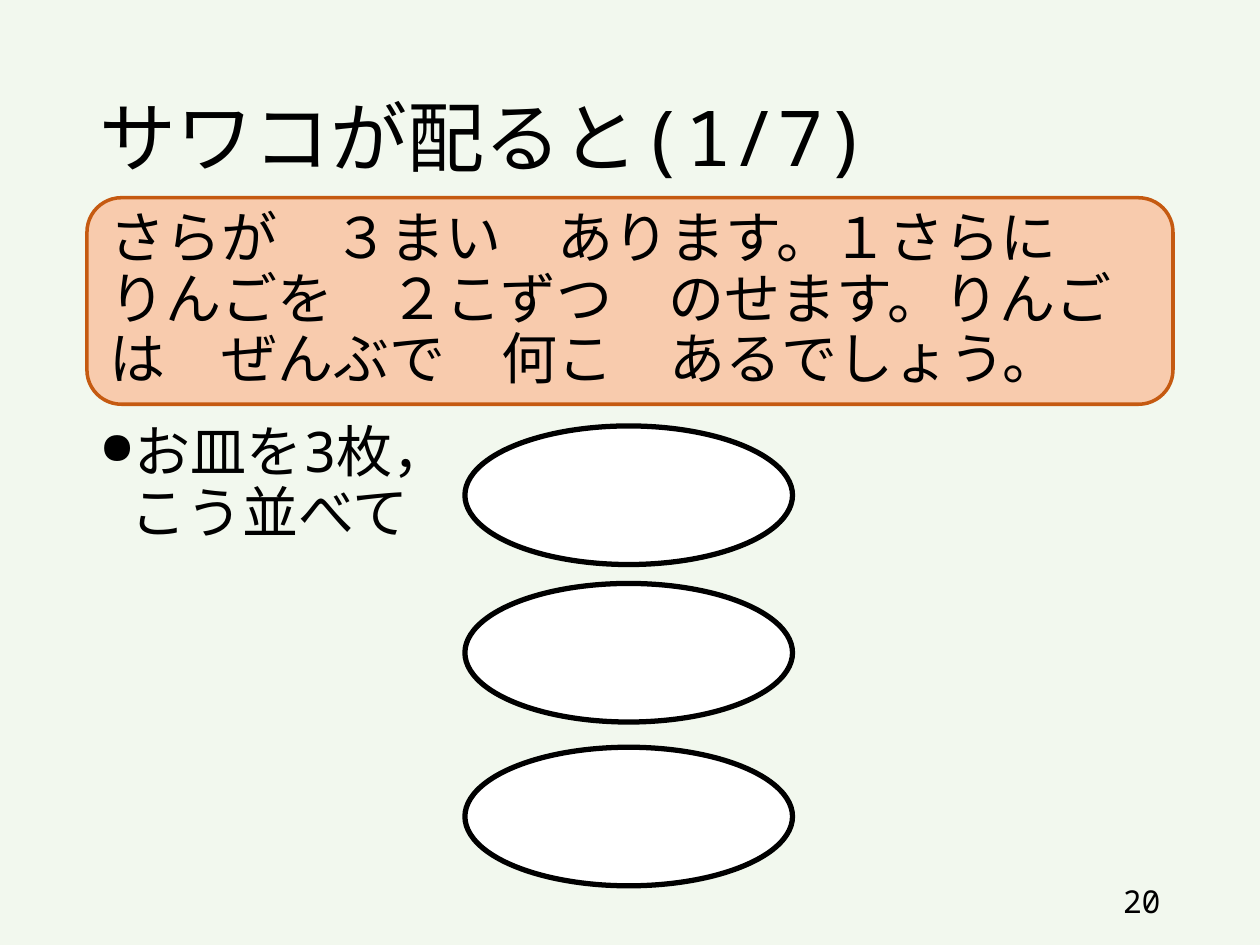
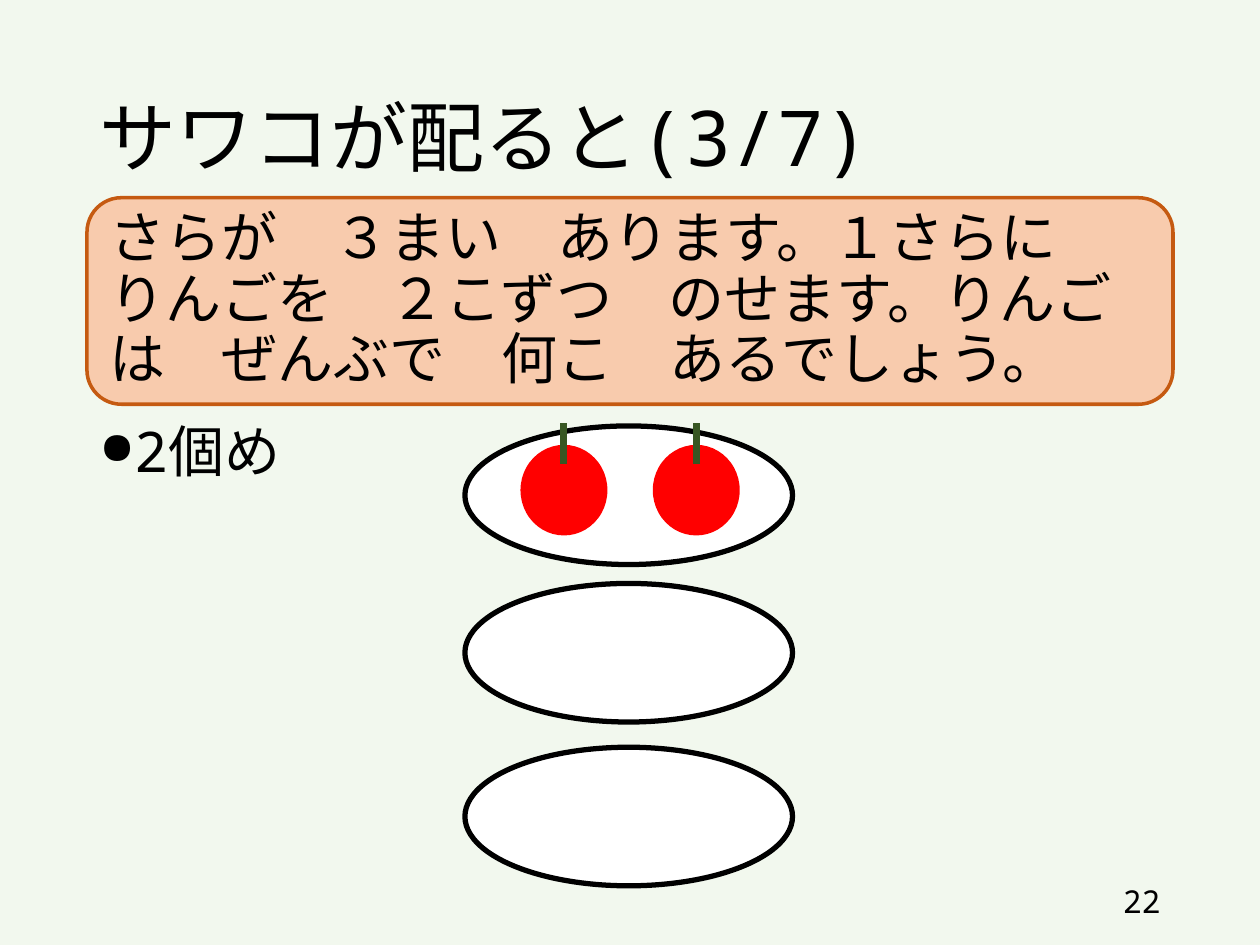
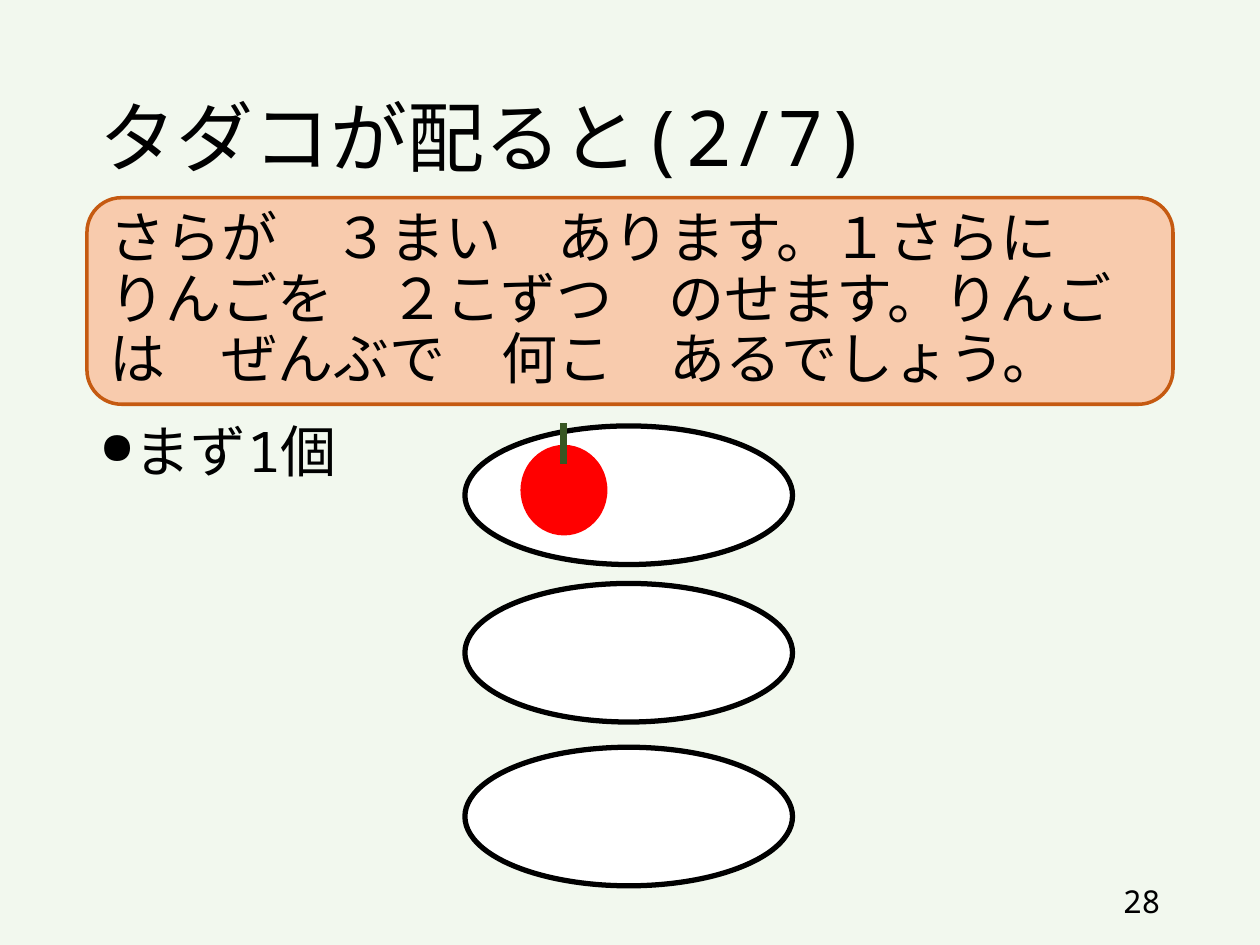
import pptx
import pptx.util
from pptx.dml.color import RGBColor
from pptx.enum.shapes import MSO_CONNECTOR, MSO_SHAPE
from pptx.enum.text import MSO_ANCHOR, MSO_AUTO_SIZE, PP_ALIGN
from pptx.oxml.ns import qn
from lxml import etree

Pt = pptx.util.Pt

FONT = "Noto Sans Mono"
BACKGROUND = RGBColor(0xF2, 0xF8, 0xEE)
BLACK = RGBColor(0, 0, 0)
WHITE = RGBColor(0xFF, 0xFF, 0xFF)
PEACH = RGBColor(0xF8, 0xCB, 0xAD)
BROWN = RGBColor(0xC5, 0x5A, 0x11)
RED = RGBColor(0xFF, 0, 0)
GREEN = RGBColor(0x38, 0x57, 0x23)

LEFT, WIDTH = 49.7, 620.6
PLATE_LEFT, PLATE_WIDTH, PLATE_HEIGHT = 265.7, 187.2, 79.2
PLATE_TOPS = (427, 333.4, 243.4)
APPLE_LEFT, APPLE_STEP = 297.4, 75.6
APPLE_TOP, APPLE_WIDTH, APPLE_HEIGHT = 254.2, 49.7, 51.8
STEM_TOP, STEM_BOTTOM = 242, 265

PROBLEM = ("さらが　３まい　あります。１さらに　りんごを　２こずつ　のせます。"
           "りんごは　ぜんぶで　何こ　あるでしょう。")

SLIDES = (
    ("サワコが配ると(1/7)", "20", "お皿を3枚，\nこう並べて", 0),
    ("サワコが配ると(3/7)", "22", "2個め", 2),
    ("タダコが配ると(2/7)", "28", "まず1個", 1),
)


def box(left, top, width, height):
    return Pt(left), Pt(top), Pt(width), Pt(height)


def set_text(sp, text, size, align=PP_ALIGN.LEFT, anchor=MSO_ANCHOR.MIDDLE,
             line_spacing=None, space_before=0):
    tf = sp.text_frame
    tf.word_wrap = True
    tf.auto_size = MSO_AUTO_SIZE.NONE
    tf.vertical_anchor = anchor
    p = tf.paragraphs[0]
    p.text = text
    p.alignment = align
    p.line_spacing = line_spacing
    p.space_before = Pt(space_before)
    p.font.name = FONT
    p.font.size = Pt(size)
    p.font.color.rgb = BLACK
    for r in p.runs:
        r.font.name = FONT
        etree.SubElement(r.font._element, qn("a:ea")).set("typeface", FONT)
    return p


def add_filled(shapes, kind, bounds, fill, line=None, line_width=0):
    sp = shapes.add_shape(kind, *bounds)
    sp.shadow.inherit = False
    sp.fill.solid()
    sp.fill.fore_color.rgb = fill
    if line is None:
        sp.line.fill.background()
    else:
        sp.line.color.rgb = line
        sp.line.width = Pt(line_width)
    return sp


def add_title(s, text):
    sp = s.shapes.title
    sp.left, sp.top, sp.width, sp.height = box(LEFT, 28.8, WIDTH, 104.4)
    set_text(sp, text, 44, line_spacing=0.9)


def add_number(s, text):
    sp = s.shapes.add_textbox(*box(508.3, 500.4, 162, 28.8))
    set_text(sp, text, 18, align=PP_ALIGN.RIGHT)


def add_problem(s):
    sp = add_filled(s.shapes, MSO_SHAPE.ROUNDED_RECTANGLE,
                    box(LEFT, 113, WIDTH, 118), PEACH, BROWN, 2)
    set_text(sp, PROBLEM, 32, line_spacing=0.9, space_before=10)


def add_plates(s):
    for top in PLATE_TOPS:
        add_filled(s.shapes, MSO_SHAPE.OVAL,
                   box(PLATE_LEFT, top, PLATE_WIDTH, PLATE_HEIGHT), WHITE, BLACK, 3)


def add_apple(s, index):
    left = APPLE_LEFT + index * APPLE_STEP
    apple = s.shapes.add_group_shape()
    add_filled(apple.shapes, MSO_SHAPE.OVAL,
               box(left, APPLE_TOP, APPLE_WIDTH, APPLE_HEIGHT), RED)
    x = Pt(left + APPLE_WIDTH / 2)
    stem = apple.shapes.add_connector(MSO_CONNECTOR.STRAIGHT,
                                      x, Pt(STEM_TOP), x, Pt(STEM_BOTTOM))
    stem.line.color.rgb = GREEN
    stem.line.width = Pt(4)
    etree.SubElement(stem._element.spPr, qn("a:effectLst"))


def add_bullet(s, text):
    sp = s.shapes.add_textbox(*box(LEFT, 239, WIDTH, 247))
    p = set_text(sp, text, 32, anchor=MSO_ANCHOR.TOP, line_spacing=0.9, space_before=10)
    pPr = p._p.get_or_add_pPr()
    pPr.set("marL", str(Pt(18)))
    pPr.set("indent", str(-Pt(18)))
    size = etree.Element(qn("a:buSzPct"), val="80000")
    char = etree.Element(qn("a:buChar"), char="●")
    defaults = pPr.find(qn("a:defRPr"))
    defaults.addprevious(size)
    defaults.addprevious(char)


def main():
    prs = pptx.Presentation()
    prs.slide_width, prs.slide_height = Pt(720), Pt(540)
    fill = prs.slide_master.background.fill
    fill.solid()
    fill.fore_color.rgb = BACKGROUND
    for title, number, step, apples in SLIDES:
        s = prs.slides.add_slide(prs.slide_layouts[5])
        add_title(s, title)
        add_number(s, number)
        add_problem(s)
        add_plates(s)
        for index in range(apples):
            add_apple(s, index)
        add_bullet(s, step)
    prs.save("out.pptx")


if __name__ == "__main__":
    main()
